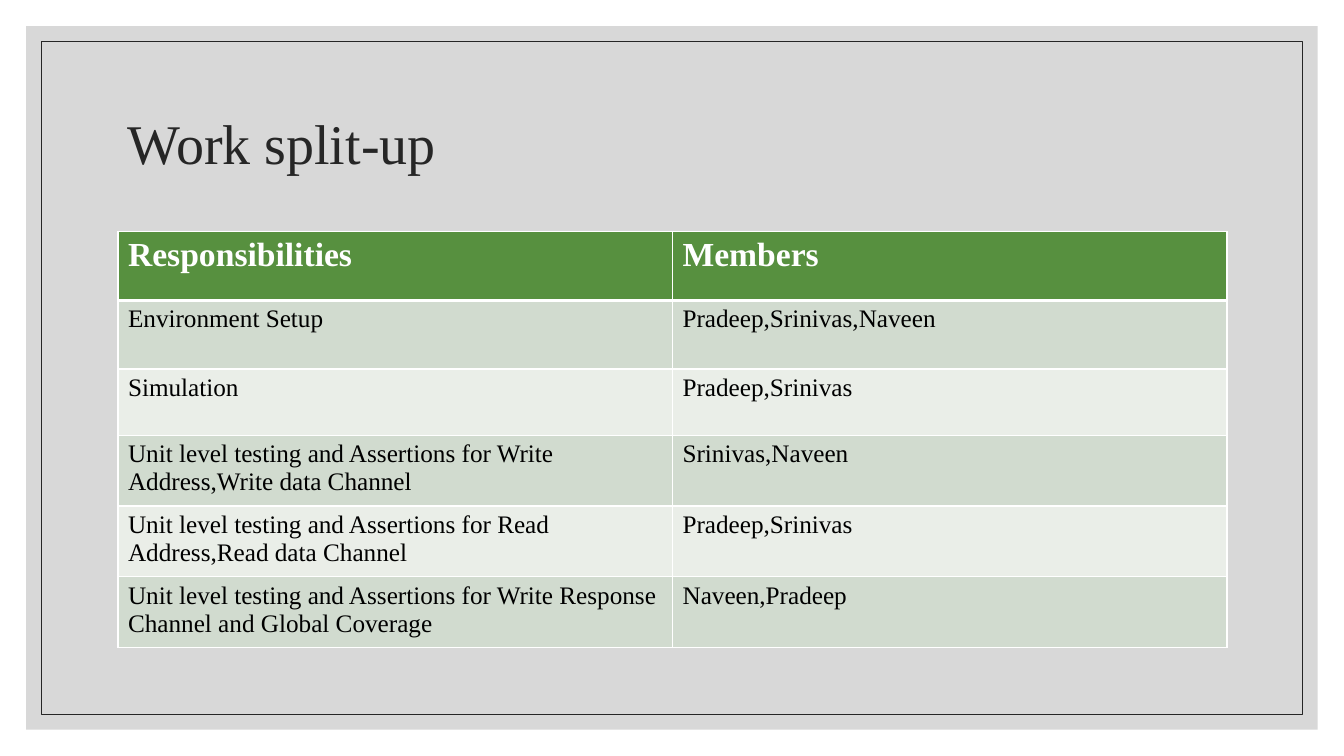
"""Build the work split-up slide: a framed title above a table of duties."""
from typing import NamedTuple

from lxml.etree import SubElement
from pptx import Presentation
from pptx.dml.color import RGBColor as Rgb
from pptx.enum.shapes import MSO_SHAPE as Kind
from pptx.enum.text import MSO_ANCHOR as Anchor
from pptx.oxml.ns import qn
from pptx.util import Inches, Pt

FONT = "Times New Roman"
HUES = {"panel": "BFBFBF", "ink": "262626", "head": "57903F", "odd": "D1DBCF",
        "even": "EAEEE8", "white": "FFFFFF", "black": "000000"}
WIDE, HIGH = 13.33, 7.5
LEFT, SPAN = 1.17, 11


class Duty(NamedTuple):
    task: str
    team: str


DUTIES = [
    Duty("Responsibilities", "Members"),
    Duty("Environment Setup", "Pradeep,Srinivas,Naveen"),
    Duty("Simulation", "Pradeep,Srinivas"),
    Duty("Unit level testing and Assertions for Write Address,Write data Channel",
         "Srinivas,Naveen"),
    Duty("Unit level testing and Assertions for Read Address,Read data Channel",
         "Pradeep,Srinivas"),
    Duty("Unit level testing and Assertions for Write Response Channel "
         "and Global Coverage", "Naveen,Pradeep"),
]
ROWS = [0.68, 0.68, 0.66, 0.68, 0.68, 0.68]


def hue(name: str) -> Rgb:
    return Rgb.from_string(HUES[name])


def write(frame, text: str, *, size: int, color: str, bold: bool = False,
          space: float = 1.0) -> None:
    frame.word_wrap = True
    line = frame.paragraphs[0]
    line.line_spacing = space
    run = line.add_run()
    run.text = text
    font = run.font
    font.name, font.size, font.bold = FONT, Pt(size), bold
    font.color.rgb = hue(color)


def panel(slide, inset: float):
    shape = slide.shapes.add_shape(
        Kind.RECTANGLE, Inches(inset), Inches(inset),
        Inches(WIDE - 2 * inset), Inches(HIGH - 2 * inset))
    shape.shadow.inherit = False
    return shape


def edge(cell, side: str, width: float) -> None:
    props = cell._tc.get_or_add_tcPr()
    line = SubElement(props, qn(f"a:ln{side}"), w=str(Pt(width)))
    fill = SubElement(line, qn("a:solidFill"))
    SubElement(fill, qn("a:srgbClr"), val=HUES["white"])


def paint(cell, text: str, row: int) -> None:
    head = row == 0
    for side in "LRTB":
        thick = (row, side) in ((0, "B"), (1, "T"))
        edge(cell, side, 3 if thick else 1)
    cell.fill.solid()
    cell.fill.fore_color.rgb = hue("head" if head else "odd" if row % 2 else "even")
    write(cell.text_frame, text, size=24 if head else 18,
          color="white" if head else "black", bold=head)


def main() -> None:
    deck = Presentation()
    deck.slide_width, deck.slide_height = Inches(WIDE), Inches(HIGH)
    slide = deck.slides.add_slide(deck.slide_layouts[6])

    back = panel(slide, 0.26)
    back.fill.solid()
    back.fill.fore_color.rgb = hue("panel")
    tint = back.fill._xPr.find(qn("a:solidFill"))[0]
    SubElement(tint, qn("a:alpha"), val="60000")
    back.line.fill.background()

    frame = panel(slide, 0.41)
    frame.fill.background()
    frame.line.color.rgb = hue("ink")
    frame.line.width = Pt(0.5)

    title = slide.shapes.add_textbox(
        Inches(LEFT), Inches(0.7), Inches(SPAN), Inches(1.5)).text_frame
    title.vertical_anchor = Anchor.MIDDLE
    write(title, "Work split-up", size=40, color="ink", space=0.9)

    table = slide.shapes.add_table(
        len(DUTIES), 2, Inches(LEFT), Inches(2.3),
        Inches(SPAN), Inches(sum(ROWS))).table
    for row, (duty, high) in enumerate(zip(DUTIES, ROWS)):
        table.rows[row].height = Inches(high)
        for col, text in enumerate(duty):
            paint(table.cell(row, col), text, row)

    deck.save("out.pptx")


main()
